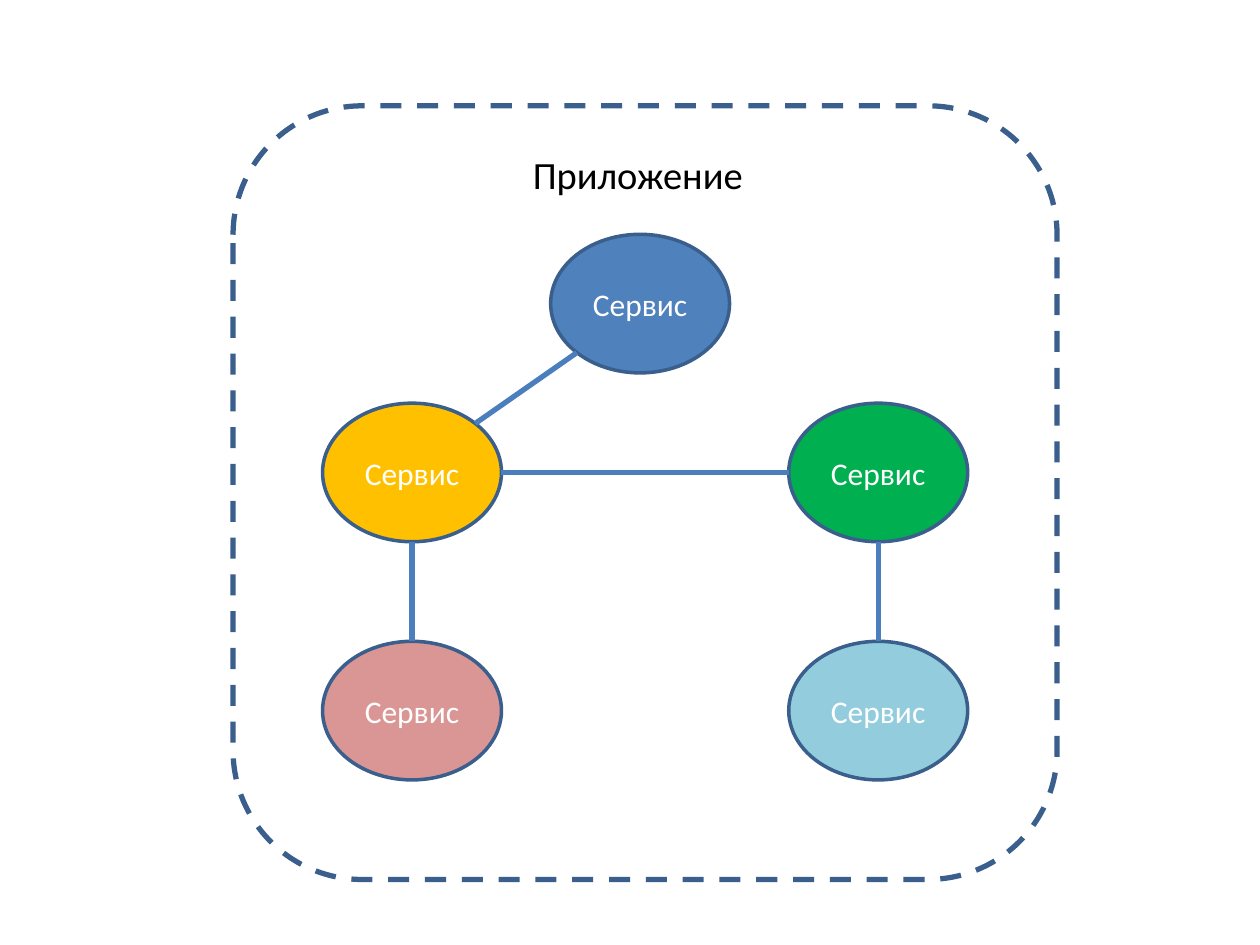
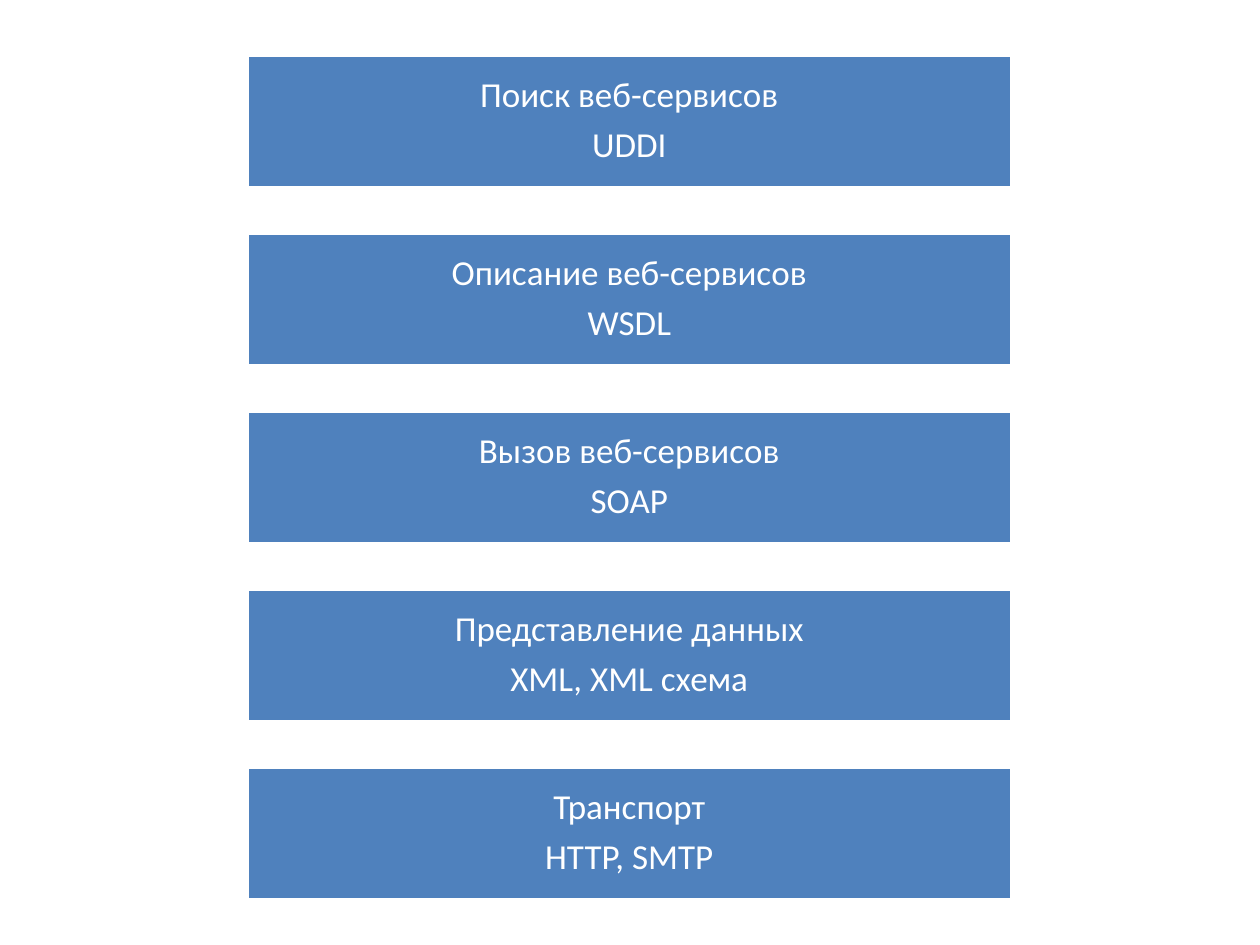
from math import sqrt

from lxml import etree
from pptx import Presentation
from pptx.dml.color import RGBColor
from pptx.enum.dml import MSO_LINE
from pptx.enum.shapes import MSO_CONNECTOR, MSO_SHAPE
from pptx.enum.text import MSO_ANCHOR, MSO_AUTO_SIZE, PP_ALIGN
from pptx.oxml.ns import qn
from pptx.util import Inches, Pt

FONT = "Calibri"
WHITE = RGBColor(0xFF, 0xFF, 0xFF)
BLACK = RGBColor(0x00, 0x00, 0x00)
BLUE = RGBColor(0x4F, 0x81, 0xBD)
OUTLINE_BLUE = RGBColor(0x3A, 0x5F, 0x8C)
LINK_BLUE = RGBColor(0x4B, 0x7E, 0xBC)
GREEN = RGBColor(0x00, 0xB0, 0x50)
AMBER = RGBColor(0xFF, 0xC0, 0x00)
AQUA = RGBColor(0x93, 0xCD, 0xDD)
ROSE = RGBColor(0xD9, 0x96, 0x94)

RECTANGLE = MSO_SHAPE.RECTANGLE
ROUNDED = MSO_SHAPE.ROUNDED_RECTANGLE
OVAL = MSO_SHAPE.OVAL
STRAIGHT = MSO_CONNECTOR.STRAIGHT
DASH = MSO_LINE.DASH
MIDDLE = MSO_ANCHOR.MIDDLE
CENTER = PP_ALIGN.CENTER
FIT_SHAPE = MSO_AUTO_SIZE.SHAPE_TO_FIT_TEXT


def add_box(slide, kind, left, top, width, height, fill, outline, outline_width):
    shape = slide.shapes.add_shape(
        kind, Inches(left), Inches(top), Inches(width), Inches(height))
    shape.shadow.inherit = False
    shape.fill.solid()
    shape.fill.fore_color.rgb = fill
    shape.line.color.rgb = outline
    shape.line.width = Pt(outline_width)
    shape.text_frame.vertical_anchor = MIDDLE
    return shape


def write(paragraph, text, size, color):
    run = paragraph.add_run()
    run.text = text
    run.font.name = FONT
    run.font.size = Pt(size)
    run.font.color.rgb = color


presentation = Presentation()
presentation.slide_width = Inches(10)
presentation.slide_height = Inches(7.5)
blank_layout = presentation.slide_layouts[6]

# Slide 1: an application made of linked services
slide = presentation.slides.add_slide(blank_layout)
frame = add_box(slide, ROUNDED, 1.85, 0.84, 6.54, 6.14, WHITE, OUTLINE_BLUE, 3)
frame.line.dash_style = DASH

title = slide.shapes.add_textbox(Inches(4.13), Inches(1.15), Inches(2.05), Inches(0.47))
title.text_frame.word_wrap = True
title.text_frame.auto_size = FIT_SHAPE
write(title.text_frame.paragraphs[0], "Приложение", 22, BLACK)

SERVICE_WIDTH, SERVICE_HEIGHT = 1.42, 1.1
LEFT_COLUMN, MIDDLE_COLUMN, RIGHT_COLUMN = 3.27, 5.08, 6.97
TOP_ROW, CENTER_ROW, BOTTOM_ROW = 2.41, 3.75, 5.64
services = {
    "top": (MIDDLE_COLUMN, TOP_ROW, BLUE),
    "right": (RIGHT_COLUMN, CENTER_ROW, GREEN),
    "left": (LEFT_COLUMN, CENTER_ROW, AMBER),
    "bottom right": (RIGHT_COLUMN, BOTTOM_ROW, AQUA),
    "bottom left": (LEFT_COLUMN, BOTTOM_ROW, ROSE),
}
for center_x, center_y, color in services.values():
    oval = add_box(slide, OVAL, center_x - SERVICE_WIDTH / 2, center_y - SERVICE_HEIGHT / 2,
                   SERVICE_WIDTH, SERVICE_HEIGHT, color, OUTLINE_BLUE, 2)
    paragraph = oval.text_frame.paragraphs[0]
    paragraph.alignment = CENTER
    write(paragraph, "Сервис", 18, WHITE)

# Each link leaves its first service in the given direction and meets the second opposite
DIAGONAL = 1 / sqrt(2)
links = [
    ("left", "top", DIAGONAL, -DIAGONAL),
    ("left", "bottom left", 0, 1),
    ("left", "right", 1, 0),
    ("bottom right", "right", 0, -1),
]
for start, end, direction_x, direction_y in links:
    start_x, start_y, _ = services[start]
    end_x, end_y, _ = services[end]
    reach_x = direction_x * SERVICE_WIDTH / 2
    reach_y = direction_y * SERVICE_HEIGHT / 2
    link = slide.shapes.add_connector(
        STRAIGHT, Inches(start_x + reach_x), Inches(start_y + reach_y),
        Inches(end_x - reach_x), Inches(end_y - reach_y))
    link.line.color.rgb = LINK_BLUE
    link.line.width = Pt(3)
    etree.SubElement(link._element.spPr, qn("a:effectLst"))

# Slide 2: the web service protocol stack
slide = presentation.slides.add_slide(blank_layout)
LAYER_LEFT, LAYER_TOP = 1.96, 0.44
LAYER_WIDTH, LAYER_HEIGHT = 6.07, 1.05
LAYER_PITCH = 1.4125
LAYER_MARGIN = Inches(0.08)
layers = [
    ("Поиск веб-сервисов", "UDDI"),
    ("Описание веб-сервисов", "WSDL"),
    ("Вызов веб-сервисов", "SOAP"),
    ("Представление данных", "XML, XML схема"),
    ("Транспорт", "HTTP, SMTP"),
]
for row, lines in enumerate(layers):
    layer = add_box(slide, RECTANGLE, LAYER_LEFT, LAYER_TOP + row * LAYER_PITCH,
                    LAYER_WIDTH, LAYER_HEIGHT, BLUE, WHITE, 2)
    text_frame = layer.text_frame
    text_frame.margin_left = text_frame.margin_right = LAYER_MARGIN
    text_frame.margin_top = text_frame.margin_bottom = LAYER_MARGIN
    text_frame.add_paragraph()
    for paragraph, line in zip(text_frame.paragraphs, lines):
        paragraph.alignment = CENTER
        paragraph.line_spacing = 0.9
        paragraph.space_after = Pt(7)
        write(paragraph, line, 20, WHITE)

presentation.save("out.pptx")
